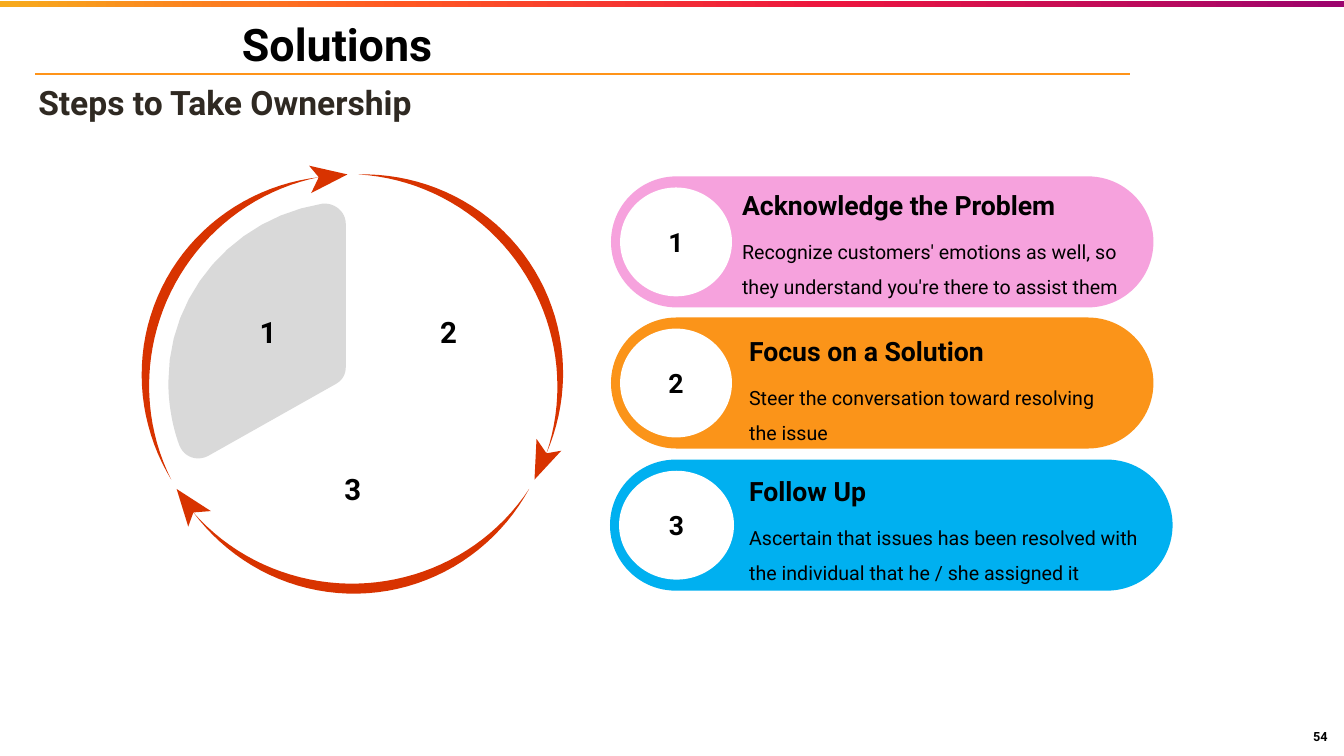
from dataclasses import dataclass
from math import cos, pi, radians, sin

from lxml import etree
from pptx import Presentation
from pptx.dml.color import RGBColor
from pptx.enum.shapes import MSO_CONNECTOR, MSO_SHAPE
from pptx.enum.text import MSO_ANCHOR, PP_ALIGN
from pptx.oxml.ns import qn
from pptx.util import Pt

PX = 9144  # EMU per px, 100 px to the inch
PAGE_WIDTH, PAGE_HEIGHT = 1333, 750
STRAIGHT = MSO_CONNECTOR.STRAIGHT
RECT, PILL, OVAL = MSO_SHAPE.RECTANGLE, MSO_SHAPE.ROUNDED_RECTANGLE, MSO_SHAPE.OVAL
TOP, MIDDLE, BOTTOM = MSO_ANCHOR.TOP, MSO_ANCHOR.MIDDLE, MSO_ANCHOR.BOTTOM
LEFT, CENTER = PP_ALIGN.LEFT, PP_ALIGN.CENTER


@dataclass(frozen=True)
class Theme:
    font: str = "Roboto"
    text: str = "000000"
    subtitle: str = "2F2922"
    white: str = "FFFFFF"
    rule: str = "FF9419"
    arrow: str = "D83300"
    sector: str = "D9D9D9"
    banner: tuple = ((0, "F7AB1D"), (30, "FF5722"), (62, "EC153F"), (100, "9C036D"))
    title_size: int = 32
    subtitle_size: int = 24
    sector_size: int = 21
    heading_size: int = 19
    body_size: int = 14
    number_size: int = 9


THEME = Theme()

# Box, colour, badge width, text left, heading top, text width, heading, body
CARDS = (
    ((606, 175, 538, 130), "F6A2DD", 111, 736, 181, 378, "Acknowledge the Problem",
     "Recognize customers' emotions as well, so they understand you're there to assist them"),
    ((606, 315, 538, 130), "FB9419", 111, 743, 326, 370, "Focus on a Solution",
     "Steer the conversation toward resolving the issue"),
    ((605, 456, 558, 130), "00B0F0", 114, 743, 465, 386, "Follow Up",
     "Ascertain that issues has been resolved with the individual that he / she assigned it"),
)

# Upper-left sector relative to the wheel centre: points of lines and curves
SECTOR_START = (-7, -18)
SECTOR_STEPS = (
    ((-7, -160),),
    ((-7, -172), (-18, -181), (-30, -180)),
    ((-117, -166), (-183, -92), (-183, -3)),
    ((-183, 19), (-179, 41), (-172, 60)),
    ((-167, 72), (-154, 76), (-143, 70)),
    ((-17, -1),),
    ((-10, -5), (-7, -11), (-7, -18)),
)
# Sector colour and label offset from the wheel centre, clockwise
SECTORS = ((THEME.sector, (-84, -52)), (THEME.white, (95, -52)), (THEME.white, (0, 103)))


def scaled(*lengths):
    return [round(length * PX) for length in lengths]


def write(shape, text, size, bold=True, color=THEME.text, align=LEFT, anchor=MIDDLE,
          insets=(0, 0), spacing=None):
    frame = shape.text_frame
    frame.word_wrap = True
    frame.vertical_anchor = anchor
    frame.margin_left = frame.margin_right = insets[0] * PX
    frame.margin_top = frame.margin_bottom = insets[1] * PX
    frame.text = text
    para = frame.paragraphs[0]
    para.alignment = align
    para.line_spacing = spacing
    font = para.runs[0].font
    font.name, font.size, font.bold = THEME.font, Pt(size), bold
    font.color.rgb = RGBColor.from_string(color)


def add_text(page, box, text, size, **style):
    write(page.shapes.add_textbox(*scaled(*box)), text, size, **style)


def paint(shape, color):
    shape.shadow.inherit = False
    shape.fill.solid()
    shape.fill.fore_color.rgb = RGBColor.from_string(color)
    shape.line.fill.background()


def add_outline(page, points, color):
    builder = page.shapes.build_freeform(*scaled(*points[0]), scale=1.0)
    builder.add_line_segments([scaled(*point) for point in points[1:]], close=True)
    paint(builder.convert_to_shape(), color)


def add_banner(page, box):
    banner = page.shapes.add_shape(RECT, *scaled(*box))
    paint(banner, THEME.white)
    banner.fill.gradient()
    banner.fill.gradient_angle = 0
    stops = banner._element.spPr.find(qn("a:gradFill")).find(qn("a:gsLst"))
    for stop in list(stops):
        stops.remove(stop)
    for percent, color in THEME.banner:
        stop = etree.SubElement(stops, qn("a:gs"), pos=str(percent * 1000))
        etree.SubElement(stop, qn("a:srgbClr"), val=color)


def add_header(page, box):
    left, top, width, height = box
    rule_y = top + 73
    rule = page.shapes.add_connector(STRAIGHT, *scaled(left, rule_y, left + width, rule_y))
    rule.line.color.rgb = RGBColor.from_string(THEME.rule)
    rule.line.width = Pt(1.5)
    etree.SubElement(rule._element.spPr, qn("a:effectLst"))
    add_text(page, (left + 202, top + 5, 846, 77), "Solutions", THEME.title_size, insets=(3, 3))
    add_text(page, (left, top + 81, width, height - 81), "Steps to Take Ownership",
             THEME.subtitle_size, color=THEME.subtitle, insets=(3, 3))


def polar(center, radius, degrees):
    angle = radians(degrees)
    return center[0] + radius * cos(angle), center[1] + radius * sin(angle)


def arrow_points(center, radius, start):
    """Outline of a clockwise arrow whose tail swells and thins along the circle."""
    steps, tip = 40, start + 117
    notch = tip - 8

    def edge(swell):
        return [polar(center, radius + swell * sin(pi * step / steps),
                      start + (notch - start) * step / steps) for step in range(steps + 1)]

    head = [polar(center, radius + 13, tip - 10), polar(center, radius, tip),
            polar(center, radius - 14, tip - 11)]
    return edge(6) + head + edge(-4)[::-1]


def sector_points(center, turn):
    """Rounded sector, turned clockwise by the given degrees about the centre."""
    points, current = [SECTOR_START], SECTOR_START
    for step in SECTOR_STEPS:
        if len(step) == 1:
            points.append(step[0])
        else:
            for t in (index / 12 for index in range(1, 13)):
                weights = ((1 - t) ** 3, 3 * t * (1 - t) ** 2, 3 * t * t * (1 - t), t ** 3)
                points.append(tuple(sum(weight * point[axis] for weight, point
                                        in zip(weights, (current, *step))) for axis in (0, 1)))
        current = step[-1]
    c, s = cos(radians(turn)), sin(radians(turn))
    return [(center[0] + x * c - y * s, center[1] + x * s + y * c) for x, y in points]


def add_wheel(page, box):
    left, top, width, height = box
    ring_center = (left + width / 2, top + height / 2)
    center = (ring_center[0], ring_center[1] + 4)
    for start in (151.5, 271.5, 31.5):
        add_outline(page, arrow_points(ring_center, 205, start), THEME.arrow)
    for index, (color, (dx, dy)) in enumerate(SECTORS):
        add_outline(page, sector_points(center, 120 * index), color)
        add_text(page, (center[0] + dx - 40, center[1] + dy - 25, 80, 49), str(index + 1),
                 THEME.sector_size, align=CENTER, insets=(13, 7))


def add_card(page, number, box, color, badge_width, text_left, heading_top, text_width,
             heading, body):
    left, top, width, height = box
    pill = page.shapes.add_shape(PILL, *scaled(*box))
    pill.adjustments[0] = 0.5
    paint(pill, color)
    badge = page.shapes.add_shape(OVAL, *scaled(left + 9, top + 11, badge_width, height - 22))
    paint(badge, THEME.white)
    write(badge, str(number), THEME.heading_size, align=CENTER)
    add_text(page, (text_left, heading_top, text_width, 45), heading, THEME.heading_size,
             anchor=BOTTOM, insets=(0, 7))
    add_text(page, (text_left, heading_top + 38, text_width, 80), body, THEME.body_size,
             bold=False, anchor=TOP, insets=(0, 7), spacing=1.5)


def main():
    deck = Presentation()
    deck.slide_width, deck.slide_height = scaled(PAGE_WIDTH, PAGE_HEIGHT)
    page = deck.slides.add_slide(deck.slide_layouts[6])
    add_banner(page, (0, 1, PAGE_WIDTH, 6))
    add_header(page, (35, 0, 1086, 121))
    add_text(page, (1286, 714, 47, 34), "54", THEME.number_size, align=CENTER)
    add_wheel(page, (139, 167, 422, 422))
    for number, card in enumerate(CARDS, start=1):
        add_card(page, number, *card)
    deck.save("out.pptx")


if __name__ == "__main__":
    main()
